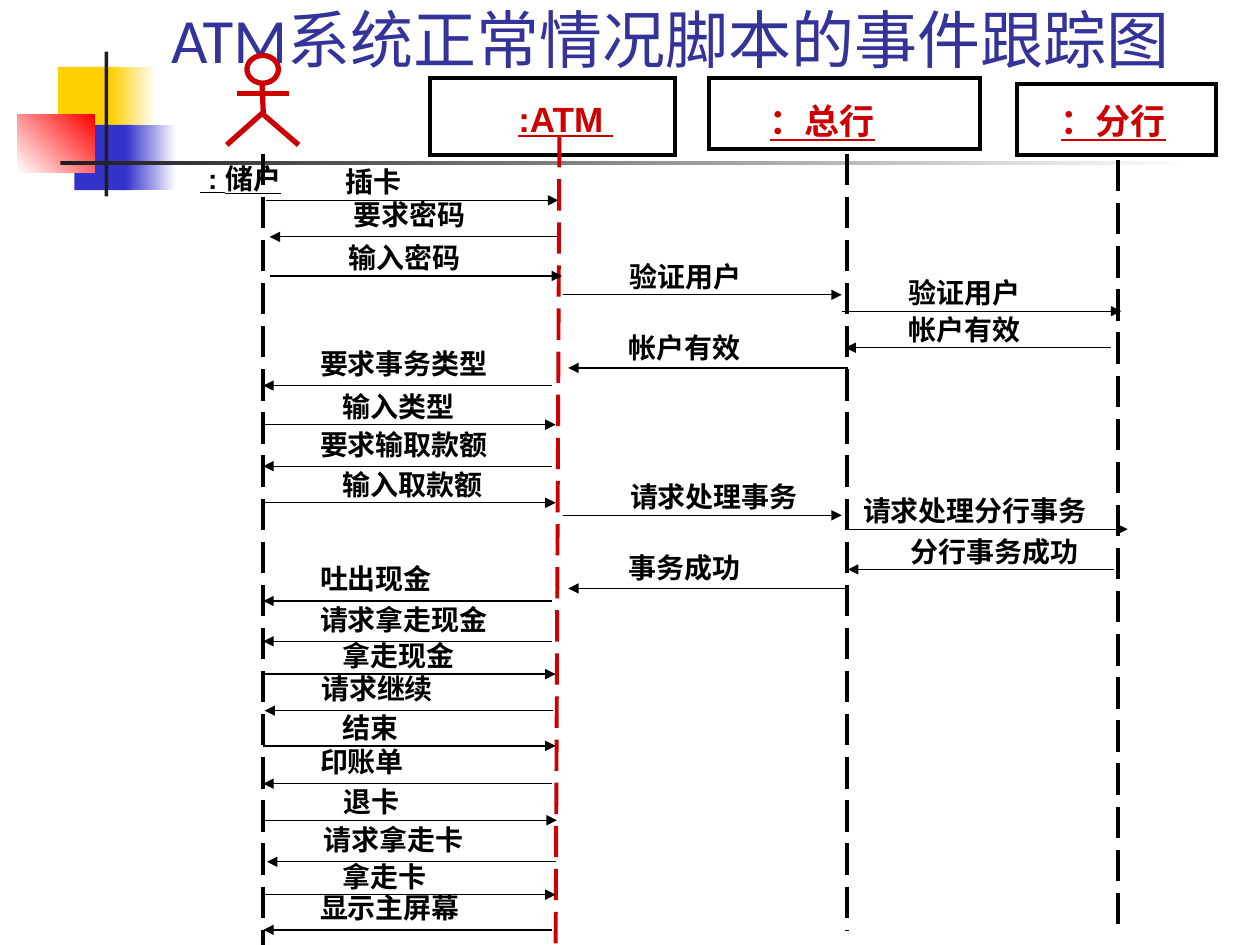
from pptx import Presentation
from pptx.dml.color import RGBColor
from pptx.enum.dml import MSO_LINE
from pptx.enum.shapes import MSO_CONNECTOR, MSO_SHAPE
from pptx.enum.text import MSO_ANCHOR as Anchor, MSO_AUTO_SIZE as AutoSize, PP_ALIGN as Align
from pptx.oxml.ns import qn
from pptx.util import Inches, Pt
from lxml.etree import SubElement

BLACK, RED, WHITE = "000000", "CC0000", "FFFFFF"
YELLOW, BLUE, DARK = "FFCF01", "3333CC", "1C1C1C"

TITLE = "ATM系统正常情况脚本的事件跟踪图"
DECORATION = [
    ((0.46, 0.53, 0.48, 0.52), (YELLOW,), 0),
    ((0.88, 0.53, 0.36, 0.52), (YELLOW, WHITE), 0),
    ((0.59, 0.99, 0.46, 0.52), (BLUE,), 0),
    ((1, 0.99, 0.4, 0.52), (BLUE, WHITE), 0),
    ((0.14, 0.91, 0.61, 0.46), (WHITE, "FF0000"), 45),
    ((0.83, 0.41, 0.03, 1.15), (DARK,), 0),
    ((0.48, 1.28, 9, 0.03), (DARK, WHITE), 0),
]
ACTOR_HEAD = (1.96, 0.44, 0.25, 0.22)
ACTOR_LINES = [((2.08, 0.67), (2.09, 0.9)), ((1.88, 0.74), (2.29, 0.74))]
ACTOR_LEGS = [(1.8, 1.15), (2.08, 0.9), (2.37, 1.15)]

PARTICIPANTS = [
    (" : 储户", None, (1.59, 1.28, 0.69, 0.27), Align.LEFT, 16, BLACK),
    (":ATM ", (3.41, 0.62, 1.95, 0.61), (3.62, 0.77, 1.74, 0.33), Align.CENTER, 20, RED),
    ("：总行", (5.63, 0.62, 2.15, 0.56), (5.74, 0.79, 1.57, 0.33), Align.CENTER, 20, RED),
    ("：分行", (8.07, 0.67, 1.58, 0.56), (8.42, 0.79, 0.84, 0.33), Align.LEFT, 20, RED),
]
LIFELINES = [
    ((2.09, 1.22), (2.09, 7.5), BLACK),
    ((4.44, 1.08), (4.41, 7.5), RED),
    ((6.72, 1.22), (6.72, 7.38), BLACK),
    ((8.87, 1.27), (8.87, 7.38), BLACK),
]

ROUTES = {
    "user>atm": dict(start=2.09, end=4.41, label=2.72, rise=0.28),
    "atm>user": dict(start=4.38, end=2.09, label=2.54, rise=0.31),
    "atm>bank": dict(start=4.47, end=6.68, label=5, rise=0.28),
    "bank>atm": dict(start=6.73, end=4.51, label=4.99, rise=0.3),
    "bank>branch": dict(start=6.73, end=8.95, label=7.26, rise=0.28),
    "branch>bank": dict(start=8.82, end=6.71, label=7.21, rise=0.28),
}
MESSAGES = [
    ("插卡", "user>atm", 1.59, 0.02, 0),
    ("要求密码", "atm>user", 1.88, 0.05, 0.22),
    ("输入密码", "user>atm", 2.19, 0.05, 0),
    ("验证用户", "atm>bank", 2.34, 0, 0),
    ("验证用户", "bank>branch", 2.47, -0.05, 0),
    ("帐户有效", "branch>bank", 2.76, 0, 0),
    ("帐户有效", "bank>atm", 2.92, 0, 0),
    ("要求事务类型", "atm>user", 3.06, 0, 0),
    ("输入类型", "user>atm", 3.37, 0, 0),
    ("要求输取款额", "atm>user", 3.7, 0, 0),
    ("输入取款额", "user>atm", 3.99, 0, 0),
    ("请求处理事务", "atm>bank", 4.09, 0, 0),
    ("请求处理分行事务", "bank>branch", 4.2, 0, -0.41),
    ("分行事务成功", "branch>bank", 4.52, 0.02, 0),
    ("事务成功", "bank>atm", 4.67, 0, 0),
    ("吐出现金", "atm>user", 4.77, 0, 0),
    ("请求拿走现金", "atm>user", 5.09, 0, 0),
    ("拿走现金", "user>atm", 5.35, 0, 0),
    ("请求继续", "atm>user", 5.64, 0.01, 0),
    ("结束", "user>atm", 5.92, 0, 0),
    ("印账单", "atm>user", 6.22, 0, 0),
    ("退卡", "user>atm", 6.51, 0.01, 0),
    ("请求拿走卡", "atm>user", 6.84, 0.03, 0),
    ("拿走卡", "user>atm", 7.1, 0, 0),
    ("显示主屏幕", "atm>user", 7.38, 0, 0),
]
CHARACTER_WIDTH, LABEL_HEIGHT = 16 / 72, 0.27


def color(value):
    return RGBColor.from_string(value)


def inches(values):
    return [Inches(value) for value in values]


def outline(shape, line_color, width):
    shape.line.color.rgb = color(line_color)
    shape.line.width = Pt(width)


def style_outlined(shape, line_color, width):
    shape.shadow.inherit = False
    shape.fill.background()
    outline(shape, line_color, width)
    SubElement(shape.element.spPr.find(qn("a:ln")), qn("a:miter"), lim="800000")


def add_filled(shapes, box, stops, angle):
    shape = shapes.add_shape(MSO_SHAPE.RECTANGLE, *inches(box))
    shape.shadow.inherit = False
    shape.line.fill.background()
    if len(stops) == 1:
        shape.fill.solid()
        shape.fill.fore_color.rgb = color(stops[0])
        return
    shape.fill.gradient()
    shape.fill.gradient_angle = angle
    for position, (stop, value) in enumerate(zip(shape.fill.gradient_stops, stops)):
        stop.color.rgb = color(value)
        stop.position = position


def add_line(shapes, start, end, line_color, width, dashed=False, arrow=False):
    line = shapes.add_connector(MSO_CONNECTOR.STRAIGHT, *inches(start + end))
    outline(line, line_color, width)
    if dashed:
        line.line.dash_style = MSO_LINE.LONG_DASH
    properties = line.element.spPr
    if arrow:
        SubElement(properties.find(qn("a:ln")), qn("a:tailEnd"), type="triangle")
    SubElement(properties, qn("a:effectLst"))


def add_text(shapes, text, box, text_color, size, align=Align.LEFT, wrap=False,
             margins=(0, 0), anchor=Anchor.TOP, fit=AutoSize.SHAPE_TO_FIT_TEXT, **font):
    frame = shapes.add_textbox(*inches(box)).text_frame
    horizontal, vertical = inches(margins)
    frame_format = {
        "word_wrap": wrap, "auto_size": fit, "vertical_anchor": anchor,
        "margin_left": horizontal, "margin_right": horizontal,
        "margin_top": vertical, "margin_bottom": vertical,
    }
    for name, value in frame_format.items():
        setattr(frame, name, value)
    paragraph = frame.paragraphs[0]
    paragraph.alignment = align
    run = paragraph.add_run()
    run.text = text
    for name, value in {"name": "Arial", "size": Pt(size), **font}.items():
        setattr(run.font, name, value)
    run.font.color.rgb = color(text_color)


def main():
    presentation = Presentation()
    presentation.slide_width, presentation.slide_height = inches((10, 7.5))
    shapes = presentation.slides.add_slide(presentation.slide_layouts[6]).shapes

    for box, stops, angle in DECORATION:
        add_filled(shapes, box, stops, angle)
    add_text(shapes, TITLE, (1.26, 0.05, 8.52, 0.6), "333399", 36, wrap=True,
             margins=(0.1, 0.05), anchor=Anchor.BOTTOM, fit=AutoSize.NONE, name="Calibri")

    style_outlined(shapes.add_shape(MSO_SHAPE.OVAL, *inches(ACTOR_HEAD)), RED, 3)
    for start, end in ACTOR_LINES:
        add_line(shapes, start, end, RED, 3)
    first, *others = [inches(point) for point in ACTOR_LEGS]
    builder = shapes.build_freeform(*first)
    builder.add_line_segments(others, close=False)
    style_outlined(builder.convert_to_shape(), RED, 3)

    for (name, box, text_box, align, size, text_color), (start, end, line_color) in zip(
            PARTICIPANTS, LIFELINES):
        if box:
            style_outlined(shapes.add_shape(MSO_SHAPE.RECTANGLE, *inches(box)), BLACK, 2.25)
        add_text(shapes, name, text_box, text_color, size, align,
                 wrap=align == Align.CENTER, bold=True, underline=True)
        add_line(shapes, start, end, line_color, 2.25, dashed=True)

    for index, (text, route_name, height, shift, label_shift) in enumerate(MESSAGES):
        route = ROUTES[route_name]
        add_line(shapes, (route["start"] + shift, height), (route["end"] + shift, height),
                 BLACK, 0.5 if index < 2 else 0.75, arrow=True)
        label = (route["label"] + shift + label_shift, height - route["rise"],
                 len(text) * CHARACTER_WIDTH, LABEL_HEIGHT)
        add_text(shapes, text, label, BLACK, 16, bold=True)

    presentation.save("out.pptx")


if __name__ == "__main__":
    main()
